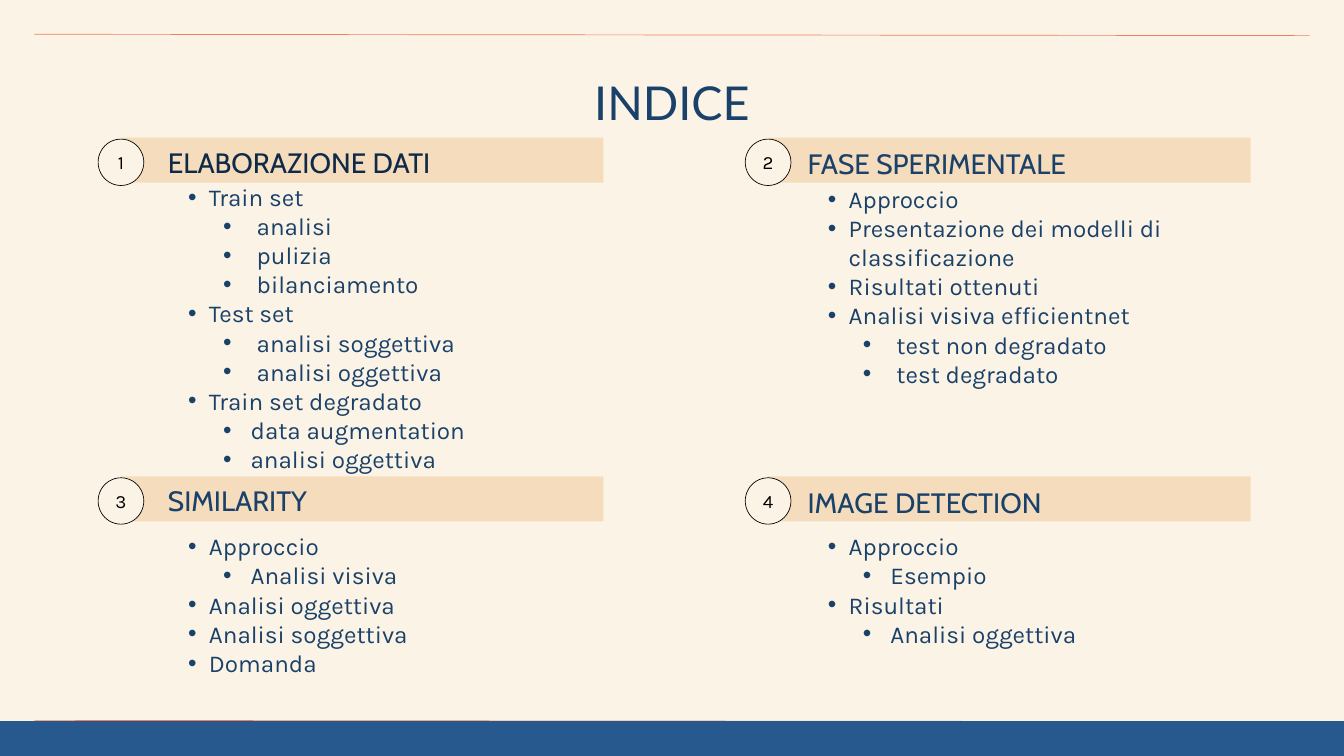
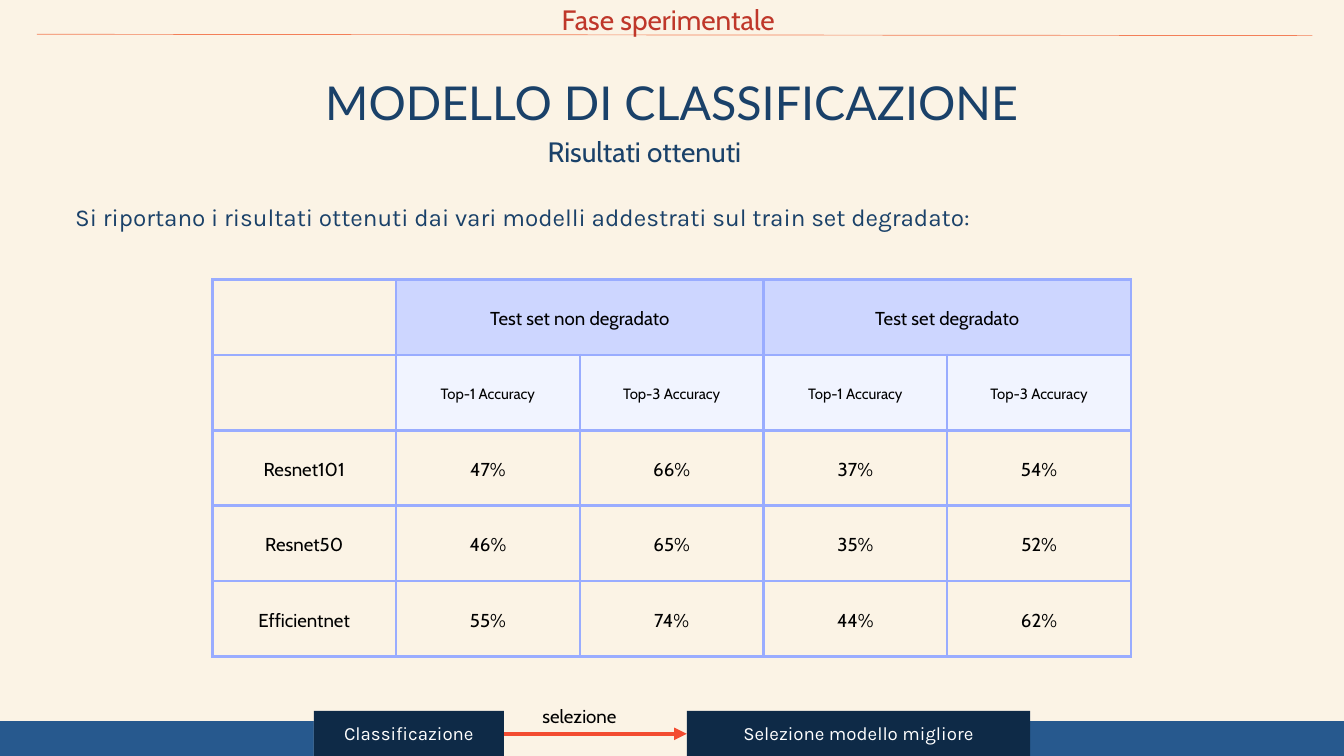
from dataclasses import dataclass

from lxml.etree import SubElement
from pptx import Presentation
from pptx.dml.color import RGBColor
from pptx.enum.shapes import MSO_CONNECTOR, MSO_SHAPE
from pptx.enum.text import MSO_ANCHOR, PP_ALIGN
from pptx.oxml.ns import qn
from pptx.util import Inches, Pt


@dataclass(frozen=True)
class Theme:
    cream: str = "FBF3E5"
    sand: str = "F5DCBD"
    blue: str = "27598E"
    ink: str = "1A4169"
    navy: str = "0E2A47"
    orange: str = "F37F58"
    arrow: str = "F34C31"
    red: str = "BF372A"
    black: str = "000000"
    white: str = "FFFFFF"
    table_border: str = "99ACFF"
    table_head: str = "CDD6FF"
    table_subhead: str = "F1F4FF"
    title_font: str = "Lato"
    heading_font: str = "Cabin"
    body_font: str = "Karla"
    title_size: int = 50
    heading_size: int = 30
    body_size: int = 26
    label_size: int = 20
    small_size: int = 16


THEME = Theme()
FOOTER_TOP = 10.73
TITLE_BOX = (3.88, 1.1, 12.24, 0.85)
HEADING = {"font": THEME.heading_font, "size": THEME.heading_size, "spacing": 42}
BODY = {"font": THEME.body_font, "size": THEME.body_size, "spacing": 31.2}
LABEL = {"font": THEME.body_font, "size": THEME.label_size, "spacing": 24,
         "align": PP_ALIGN.CENTER, "anchor": MSO_ANCHOR.MIDDLE, "margin": 0.06}
CELL = {"font": THEME.heading_font, "color": THEME.black, "align": PP_ALIGN.CENTER}

# Left indent and hanging indent, in inches, for each kind of list item
INDENTS = {1: (0.61, -0.31), 2: (1.23, -0.41), 3: (1.32, -0.5)}

# Number, badge position, heading position, heading colour, list top, items
SECTIONS = [
    ("1", (1.46, 2.07), (2.5, 2.08), "ELABORAZIONE DATI", THEME.navy, 2.71, [
        (1, "Train set"), (3, "analisi"), (3, "pulizia"), (3, "bilanciamento"),
        (1, "Test set"), (3, "analisi soggettiva"), (3, "analisi oggettiva"),
        (1, "Train set degradato"), (2, "data augmentation"), (2, "analisi oggettiva")]),
    ("2", (11.09, 2.07), (12.02, 2.09), "FASE SPERIMENTALE", THEME.ink, 2.74, [
        (1, "Approccio"), (1, "Presentazione dei modelli di classificazione"),
        (1, "Risultati ottenuti"), (1, "Analisi visiva efficientnet"),
        (3, "test non degradato"), (3, "test degradato")]),
    ("3", (1.46, 7.11), (2.5, 7.11), "SIMILARITY", THEME.ink, 7.91, [
        (1, "Approccio"), (2, "Analisi visiva"), (1, "Analisi oggettiva"),
        (1, "Analisi soggettiva"), (1, "Domanda")]),
    ("4", (11.09, 7.11), (12.02, 7.14), "IMAGE DETECTION", THEME.ink, 7.91, [
        (1, "Approccio"), (2, "Esempio"), (1, "Risultati"), (2, "Analisi oggettiva")]),
]

TEST_SETS = ["Test set non degradato", "Test set degradato"]
METRICS = ["Top-1 Accuracy", "Top-3 Accuracy"]
RESULTS = [
    ("Resnet101", "47%", "66%", "37%", "54%"),
    ("Resnet50", "46%", "65%", "35%", "52%"),
    ("Efficientnet", "55%", "74%", "44%", "62%"),
]


def rgb(color):
    return RGBColor.from_string(color)


def inches(values):
    return [Inches(value) for value in values]


def format_paragraph(paragraph, text, *, font, size, spacing, color=THEME.ink,
                     align=PP_ALIGN.LEFT):
    paragraph.text = text
    paragraph.alignment = align
    paragraph.line_spacing = Pt(spacing)
    paragraph.font.name = font
    paragraph.font.size = Pt(size)
    paragraph.font.color.rgb = rgb(color)


def write_text(frame, text, *, anchor=MSO_ANCHOR.TOP, margin=0, **style):
    frame.word_wrap = True
    frame.vertical_anchor = anchor
    frame.margin_left = frame.margin_right = Inches(margin)
    frame.margin_top = frame.margin_bottom = Inches(margin)
    format_paragraph(frame.paragraphs[0], text, **style)


def add_text(slide, box, text, **style):
    textbox = slide.shapes.add_textbox(*inches(box))
    write_text(textbox.text_frame, text, **style)
    return textbox


def add_list(slide, box, items):
    frame = add_text(slide, box, "", **BODY).text_frame
    for index, (kind, text) in enumerate(items):
        paragraph = frame.add_paragraph() if index else frame.paragraphs[0]
        paragraph.level = min(kind, 2)
        left, hanging = INDENTS[kind]
        properties = paragraph._p.get_or_add_pPr()
        properties.set("marL", str(Inches(left)))
        properties.set("indent", str(Inches(hanging)))
        SubElement(properties, qn("a:buFont"), typeface="Arial")
        SubElement(properties, qn("a:buChar"), char="•")
        format_paragraph(paragraph, text, **BODY)


def add_block(slide, box, fill, preset=MSO_SHAPE.RECTANGLE, outline=None):
    shape = slide.shapes.add_shape(preset, *inches(box))
    shape.shadow.inherit = False
    shape.fill.solid()
    shape.fill.fore_color.rgb = rgb(fill)
    if outline:
        shape.line.color.rgb = rgb(outline)
        shape.line.width = Pt(0.75)
    else:
        shape.line.fill.background()
    return shape


def add_line(slide, start, end, color, width, arrow=False):
    connector = slide.shapes.add_connector(
        MSO_CONNECTOR.STRAIGHT, *inches(start + end))
    connector.line.color.rgb = rgb(color)
    connector.line.width = Pt(width)
    if arrow:
        SubElement(connector.line._get_or_add_ln(), qn("a:tailEnd"), type="triangle")
    SubElement(connector._element.spPr, qn("a:effectLst"))


def add_rule(slide, left, top):
    add_line(slide, (left, top), (left + 18.98, top + 0.02), THEME.orange, 0.75)


def add_footer(slide):
    add_block(slide, (0, FOOTER_TOP, 20, 0.52), THEME.blue)


def add_titled_slide(presentation, title):
    slide = presentation.slides.add_slide(presentation.slide_layouts[5])
    placeholder = slide.shapes.title
    (placeholder.left, placeholder.top,
     placeholder.width, placeholder.height) = inches(TITLE_BOX)
    write_text(placeholder.text_frame, title, font=THEME.title_font,
               size=THEME.title_size, spacing=60, align=PP_ALIGN.CENTER)
    return slide


def add_section(slide, number, badge, heading, name, color, list_top, items):
    """Draw a numbered heading band with its bulleted list."""
    badge_left, badge_top = badge
    heading_left, heading_top = heading
    add_block(slide, (badge_left + 0.34, badge_top - 0.02, 7.18, 0.67), THEME.sand)
    circle = add_block(slide, (badge_left, badge_top, 0.68, 0.69), THEME.cream,
                       MSO_SHAPE.OVAL, THEME.black)
    write_text(circle.text_frame, number, color=THEME.black, **LABEL)
    add_text(slide, (heading_left, heading_top, 5.66, 0.56), name,
             color=color, **HEADING)
    add_list(slide, (heading_left, list_top, 6.49, 0.43 * len(items)), items)


def format_cell(cell, text="", fill=None, size=THEME.label_size):
    properties = cell._tc.get_or_add_tcPr()
    for side in ("lnL", "lnR", "lnT", "lnB"):
        border = SubElement(properties, qn(f"a:{side}"), w=str(Pt(3)))
        solid = SubElement(border, qn("a:solidFill"))
        SubElement(solid, qn("a:srgbClr"), val=THEME.table_border)
    if fill:
        cell.fill.solid()
        cell.fill.fore_color.rgb = rgb(fill)
    else:
        cell.fill.background()
    cell.vertical_anchor = MSO_ANCHOR.MIDDLE
    cell.margin_left = cell.margin_right = Inches(0.21)
    cell.margin_top = cell.margin_bottom = Inches(0.21)
    if text:
        format_paragraph(cell.text_frame.paragraphs[0], text, size=size,
                         spacing=size * 1.4, **CELL)


def add_results_table(slide):
    table = slide.shapes.add_table(
        len(RESULTS) + 2, 5, *inches((3.16, 4.16, 13.67, 5.61))).table
    table.first_row = table.horz_banding = False
    for row in (0, 1):
        format_cell(table.cell(row, 0), fill=THEME.cream)
    for index, test_set in enumerate(TEST_SETS):
        first = 1 + index * len(METRICS)
        header, merged = table.cell(0, first), table.cell(0, first + 1)
        header.merge(merged)
        format_cell(header, test_set, THEME.table_head)
        format_cell(merged, fill=THEME.table_head)
        for offset, metric in enumerate(METRICS):
            format_cell(table.cell(1, first + offset), metric,
                        THEME.table_subhead, THEME.small_size)
    for row, values in enumerate(RESULTS, start=2):
        for column, value in enumerate(values):
            format_cell(table.cell(row, column), value)


def add_step(slide, left, width, text):
    step = add_block(slide, (left, 10.58, width, 0.67), THEME.navy)
    write_text(step.text_frame, text, color=THEME.white, **LABEL)


def build_index(presentation):
    slide = add_titled_slide(presentation, "INDICE")
    add_rule(slide, 0.51, 10.72)
    add_rule(slide, 0.51, 0.51)
    add_footer(slide)
    for section in SECTIONS:
        add_section(slide, *section)


def build_results(presentation):
    slide = add_titled_slide(presentation, "MODELLO DI CLASSIFICAZIONE")
    add_results_table(slide)
    add_text(slide, (8.15, 1.92, 3.7, 0.56), "Risultati ottenuti", **HEADING)
    add_text(slide, (1.12, 3.01, 13.66, 0.44),
             "Si riportano i risultati ottenuti dai vari modelli addestrati "
             "sul train set degradato:", **BODY)
    add_rule(slide, 0.55, 0.51)
    add_footer(slide)
    add_block(slide, (4.67, 10.59, 9.11, 0.66), THEME.cream)
    add_step(slide, 4.67, 2.83, "Classificazione")
    add_step(slide, 10.22, 5.11, "Selezione modello migliore")
    add_text(slide, (8.07, 10.44, 1.36, 0.38), "selezione", font=THEME.heading_font,
             size=THEME.label_size, spacing=28, color=THEME.black)
    add_line(slide, (7.5, 10.92), (10.22, 10.92), THEME.arrow, 4.5, arrow=True)
    add_text(slide, (8.05, -0.05, 3.79, 0.56), "Fase sperimentale",
             color=THEME.red, align=PP_ALIGN.CENTER, **HEADING)


def main():
    presentation = Presentation()
    presentation.slide_width = Inches(20)
    presentation.slide_height = Inches(11.25)
    background = presentation.slide_master.background.fill
    background.solid()
    background.fore_color.rgb = rgb(THEME.cream)
    build_index(presentation)
    build_results(presentation)
    presentation.save("out.pptx")


if __name__ == "__main__":
    main()
